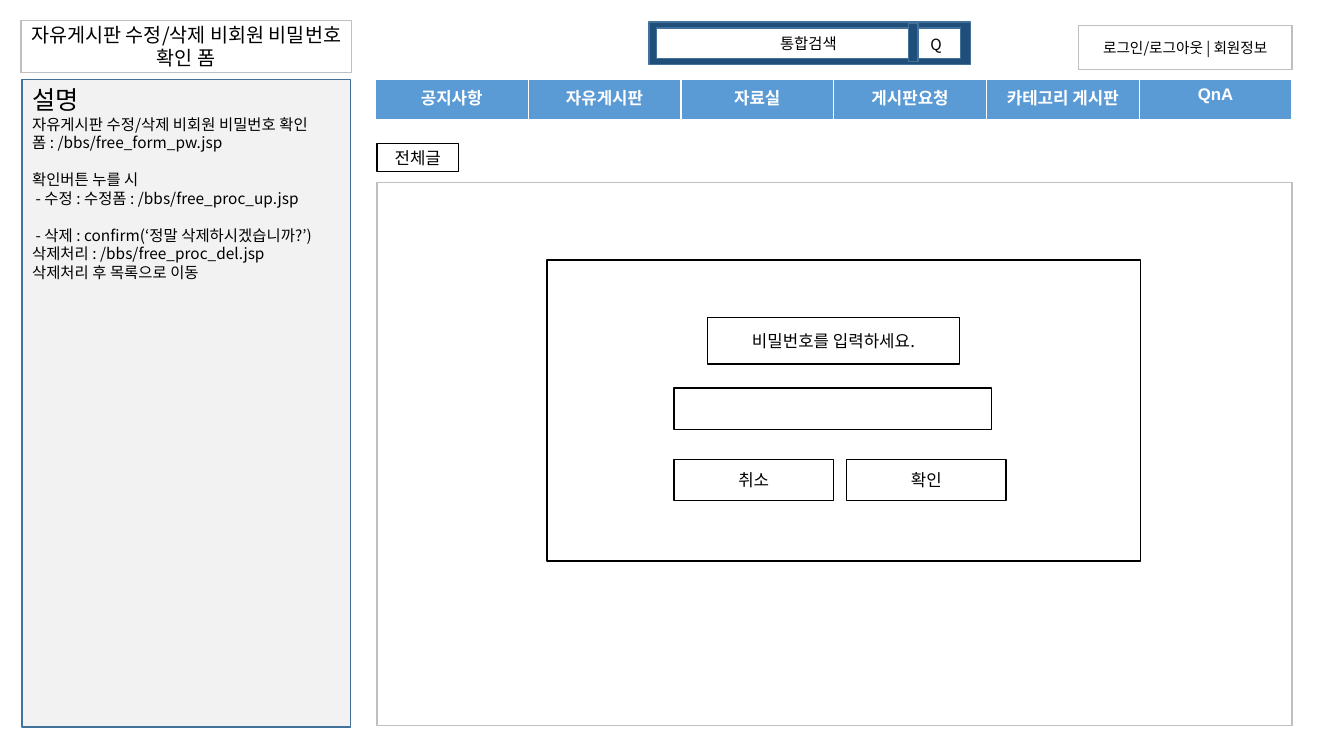
import dataclasses
import lxml.etree
import pptx
import pptx.dml.color
import pptx.enum.shapes
import pptx.enum.text
import pptx.oxml.ns
import pptx.util

Cm = pptx.util.Cm
Pt = pptx.util.Pt
Align = pptx.enum.text.PP_ALIGN
Anchor = pptx.enum.text.MSO_ANCHOR
qn = pptx.oxml.ns.qn


@dataclasses.dataclass(frozen=True)
class Theme:
    white: str = "FFFFFF"
    black: str = "000000"
    grey: str = "BFBFBF"
    pale: str = "F2F2F2"
    navy: str = "1E4E79"
    steel: str = "42719B"
    blue: str = "5B9BD5"
    font: str = "Noto Sans CJK KR"
    latin: str = "Arial"
    small: float = 10.5
    note: float = 11
    label: float = 12
    title: float = 14
    head: float = 18
    gap: float = 13.2


def tint(code):
    return pptx.dml.color.RGBColor.from_string(code)


def write(para, text, *, size, color, font, asian, bold=False, align=Align.CENTER, before=0):
    para.alignment = align
    para.space_before = Pt(before)
    run = para.add_run()
    run.text = text
    run.font.size = Pt(size)
    run.font.bold = bold
    run.font.color.rgb = tint(color)
    run.font.name = font
    props = run.font._element
    east = lxml.etree.SubElement(props, qn("a:ea"))
    east.set("typeface", asian)


class Page:
    def __init__(self, slide, theme):
        self.slide = slide
        self.theme = theme

    def text(self, para, text, **form):
        theme = self.theme
        base = dict(size=theme.label, color=theme.black, font=theme.font, asian=theme.font)
        write(para, text, **(base | form))

    def box(self, left, top, width, height, text="", *, fill=None, line=None,
            anchor=Anchor.MIDDLE, **form):
        shape = self.slide.shapes.add_shape(
            pptx.enum.shapes.MSO_SHAPE.RECTANGLE, Cm(left), Cm(top), Cm(width), Cm(height))
        shape.shadow.inherit = False
        shape.fill.solid()
        shape.fill.fore_color.rgb = tint(fill or self.theme.white)
        shape.line.color.rgb = tint(line or self.theme.black)
        shape.line.width = Pt(1)
        frame = shape.text_frame
        frame.word_wrap = True
        frame.vertical_anchor = anchor
        if text:
            self.text(frame.paragraphs[0], text, **form)
        return frame

    def label(self, left, top, width, height, text, **form):
        frame = self.slide.shapes.add_textbox(
            Cm(left), Cm(top), Cm(width), Cm(height)).text_frame
        frame.word_wrap = True
        frame.vertical_anchor = Anchor.MIDDLE
        self.text(frame.paragraphs[0], text, **form)

    def menu(self, left, top, width, height, names):
        theme = self.theme
        table = self.slide.shapes.add_table(
            1, len(names), Cm(left), Cm(top), Cm(width), Cm(height)).table
        table.first_row = table.horz_banding = False
        for index, name in enumerate(names):
            table.columns[index].width = Cm(width / len(names))
            cell = table.cell(0, index)
            self.text(cell.text_frame.paragraphs[0], name, color=theme.white,
                      font=theme.latin, bold=True)
            self.edge(cell)
            cell.fill.solid()
            cell.fill.fore_color.rgb = tint(theme.blue)

    def edge(self, cell):
        """Give a cell white borders, thick at the bottom."""
        props = cell._tc.get_or_add_tcPr()
        for side, width in dict(L=1, R=1, T=1, B=3).items():
            line = lxml.etree.SubElement(props, qn(f"a:ln{side}"), w=str(Pt(width)))
            solid = lxml.etree.SubElement(line, qn("a:solidFill"))
            lxml.etree.SubElement(solid, qn("a:srgbClr"), val=self.theme.white)


def main():
    deck = pptx.Presentation()
    deck.slide_width, deck.slide_height = Cm(33.87), Cm(19.05)
    theme = Theme()
    page = Page(deck.slides.add_slide(deck.slide_layouts[6]), theme)

    # Header
    page.box(27.18, 0.64, 5.38, 1.12, "로그인/로그아웃 | 회원정보",
             line=theme.grey, size=theme.small)
    page.box(16.36, 0.56, 8.1, 1.07, fill=theme.navy, line=theme.steel)
    page.box(16.54, 0.71, 7.67, 0.76, "통합검색", line=theme.steel, size=theme.note)
    page.box(22.89, 0.58, 0.25, 0.97, fill=theme.navy, line=theme.steel)
    page.label(23.04, 0.62, 1.1, 1.02, "Q", size=theme.note)
    page.menu(9.46, 2.01, 23.1, 1.04,
              ["공지사항", "자유게시판", "자료실", "게시판요청", "카테고리 게시판", "QnA"])

    # Description
    page.box(0.53, 0.51, 8.33, 1.32, "자유게시판 수정/삭제 비회원 비밀번호 확인 폼",
             line=theme.grey, size=theme.title)
    notes = page.box(0.56, 2.01, 8.28, 16.31, "설명", fill=theme.pale, line=theme.steel,
                     anchor=Anchor.TOP, size=theme.head, align=Align.LEFT)
    for text, before in [
        ("자유게시판 수정/삭제 비회원 비밀번호 확인 폼 : /bbs/free_form_pw.jsp", 0),
        ("확인버튼 누를 시", theme.gap),
        (" - 수정 : 수정폼 : /bbs/free_proc_up.jsp", 0),
        (" - 삭제 : confirm(‘정말 삭제하시겠습니까?’)", theme.gap),
        ("삭제처리 : /bbs/free_proc_del.jsp", 0),
        ("삭제처리 후 목록으로 이동", 0),
    ]:
        page.text(notes.add_paragraph(), text, size=theme.note, align=Align.LEFT, before=before)

    # Password form
    page.box(9.5, 3.61, 2.06, 0.71, "전체글", anchor=Anchor.TOP)
    page.box(9.5, 4.6, 23.06, 13.69, line=theme.grey)
    page.box(13.79, 6.55, 14.96, 7.59)
    page.box(17.83, 8, 6.35, 1.17, "비밀번호를 입력하세요.")
    page.box(16.99, 9.78, 8, 1.04)
    for index, name in enumerate(["취소", "확인"]):
        page.box(16.99 + 4.35 * index, 11.58, 4.01, 1.04, name)

    deck.save("out.pptx")


if __name__ == "__main__":
    main()
